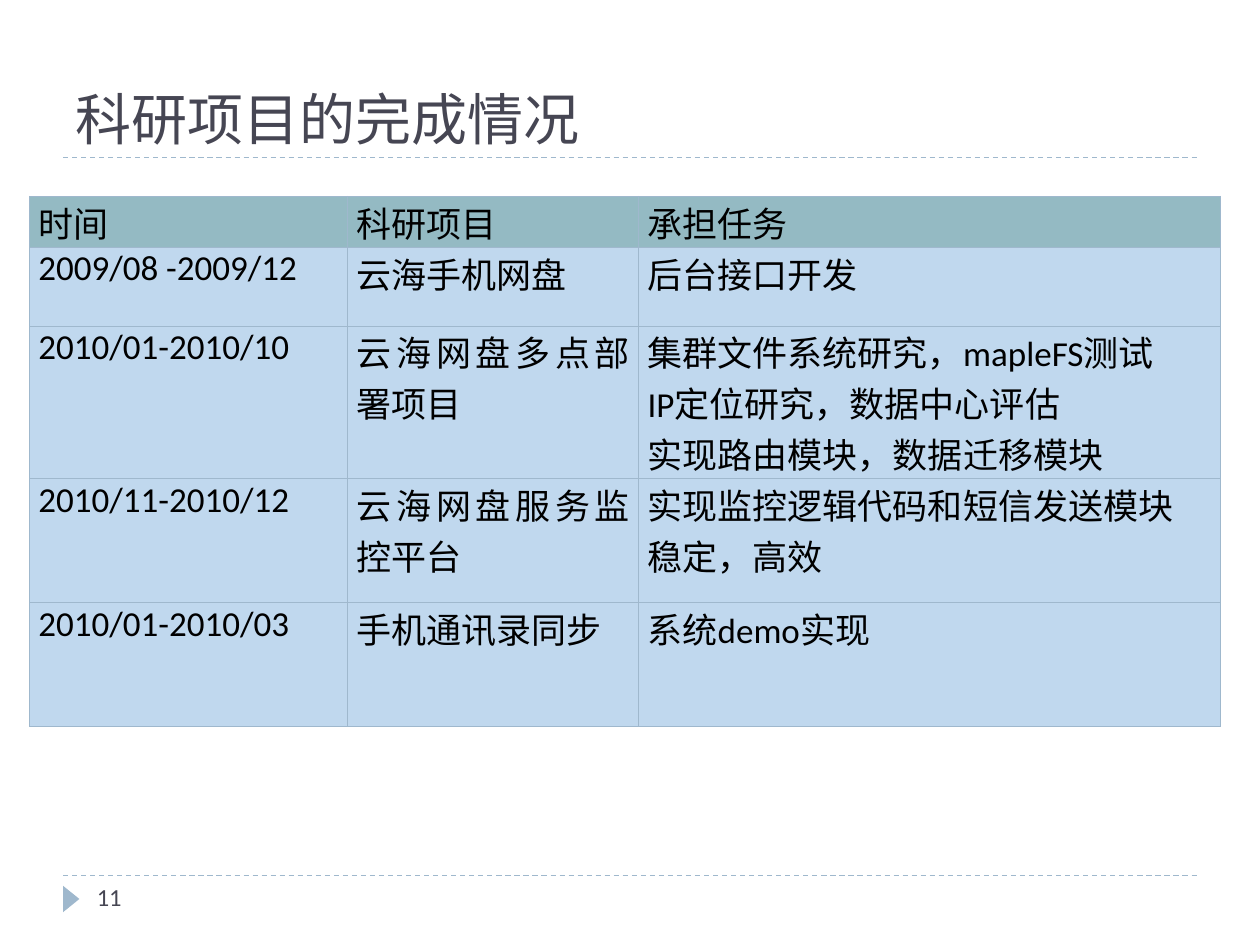
import pptx
import pptx.util
import pptx.dml.color
import pptx.enum.text
import pptx.enum.shapes
import pptx.enum.dml
import pptx.oxml.ns
import lxml.etree
import dataclasses

ALIGN = pptx.enum.text.PP_ALIGN
ANCHOR = pptx.enum.text.MSO_ANCHOR


@dataclasses.dataclass
class Theme:
    ink: str = "464653"
    text: str = "000000"
    edge: str = "9FB8CD"
    head: str = "94BAC3"
    body: str = "C0D8EE"
    font: str = "Calibri"
    serif: str = "Times New Roman"
    title: int = 32
    cell: int = 20
    foot: int = 14
    rule: float = 0.75


def color(value):
    return pptx.dml.color.RGBColor.from_string(value)


def write(frame, text, size, ink, font, align=ALIGN.LEFT, anchor=ANCHOR.TOP):
    frame.word_wrap = True
    frame.vertical_anchor = anchor
    for index, line in enumerate(text.split("\n")):
        para = frame.add_paragraph() if index else frame.paragraphs[0]
        para.alignment = align
        run = para.add_run()
        run.text = line
        run.font.size = pptx.util.Pt(size)
        run.font.name = font
        run.font.color.rgb = color(ink)


class Page:
    """Draw themed elements on a slide grid of 100 columns by 75 rows."""

    def __init__(self, deck, theme):
        self.theme = theme
        self.unit = deck.slide_width / 100
        self.slide = deck.slides.add_slide(deck.slide_layouts[6])
        self.shapes = self.slide.shapes

    def grid(self, *cells):
        return [round(cell * self.unit) for cell in cells]

    def rule(self, left, right, row):
        line = self.shapes.add_connector(
            pptx.enum.shapes.MSO_CONNECTOR.STRAIGHT, *self.grid(left, row, right, row))
        line.line.color.rgb = color(self.theme.edge)
        line.line.width = pptx.util.Pt(self.theme.rule)
        line.line.dash_style = pptx.enum.dml.MSO_LINE.DASH
        lxml.etree.SubElement(line._element.spPr, pptx.oxml.ns.qn("a:effectLst"))

    def marker(self, *box):
        mark = self.shapes.add_shape(
            pptx.enum.shapes.MSO_SHAPE.ISOSCELES_TRIANGLE, *self.grid(*box))
        mark.rotation = 90
        mark.shadow.inherit = False
        mark.fill.solid()
        mark.fill.fore_color.rgb = color(self.theme.edge)
        mark.line.fill.background()

    def label(self, text, box, size, **form):
        frame = self.shapes.add_textbox(*self.grid(*box)).text_frame
        write(frame, text, size, self.theme.ink, self.theme.font, **form)

    def border(self, cell):
        props = cell._tc.get_or_add_tcPr()
        for side in ("lnL", "lnR", "lnT", "lnB"):
            line = lxml.etree.SubElement(props, pptx.oxml.ns.qn("a:" + side))
            line.set("w", str(pptx.util.Pt(self.theme.rule)))
            fill = lxml.etree.SubElement(line, pptx.oxml.ns.qn("a:solidFill"))
            tone = lxml.etree.SubElement(fill, pptx.oxml.ns.qn("a:srgbClr"))
            tone.set("val", self.theme.edge)

    def cell(self, cell, text, fill, font):
        cell.margin_left, cell.margin_right = self.grid(0.7, 0.7)
        cell.margin_top = cell.margin_bottom = 0
        self.border(cell)
        cell.fill.solid()
        cell.fill.fore_color.rgb = color(fill)
        write(cell.text_frame, text, self.theme.cell, self.theme.text, font,
              align=ALIGN.JUSTIFY)

    def table(self, left, top, widths, heights, data, serif):
        box = self.grid(left, top, sum(widths), sum(heights))
        table = self.shapes.add_table(len(heights), len(widths), *box).table
        for column, width in zip(table.columns, self.grid(*widths)):
            column.width = width
        for row, height in zip(table.rows, self.grid(*heights)):
            row.height = height
        for r, texts in enumerate(data):
            for c, text in enumerate(texts):
                fill = self.theme.body if r else self.theme.head
                font = self.theme.serif if (r, c) == serif else self.theme.font
                self.cell(table.cell(r, c), text, fill, font)


PROJECTS = [
    ("时间", "科研项目", "承担任务"),
    ("2009/08 -2009/12", "云海手机网盘", "后台接口开发"),
    ("2010/01-2010/10", "云海网盘多点部署项目",
     "集群文件系统研究，mapleFS测试\nIP定位研究，数据中心评估\n实现路由模块，数据迁移模块"),
    ("2010/11-2010/12", "云海网盘服务监控平台",
     "实现监控逻辑代码和短信发送模块\n稳定，高效"),
    ("2010/01-2010/03", "手机通讯录同步", "系统demo实现"),
]


def main():
    deck = pptx.Presentation()
    deck.slide_width = pptx.util.Inches(10)
    deck.slide_height = pptx.util.Inches(7.5)
    theme = Theme()
    page = Page(deck, theme)
    for row in (69.5, 12.5):
        page.rule(5, 95, row)
    page.marker(4.6, 70.7, 2.1, 1.3)
    page.label("科研项目的完成情况", (5, 1.7, 90, 10.8), theme.title,
               anchor=ANCHOR.BOTTOM)
    page.label("11", (6.7, 69.5, 21.7, 4), theme.foot)
    page.table(2.35, 15.6, (25.25, 23.1, 46.2), (4.05, 6.25, 12.1, 9.85, 9.85),
               PROJECTS, serif=(3, 2))
    deck.save("out.pptx")


main()
